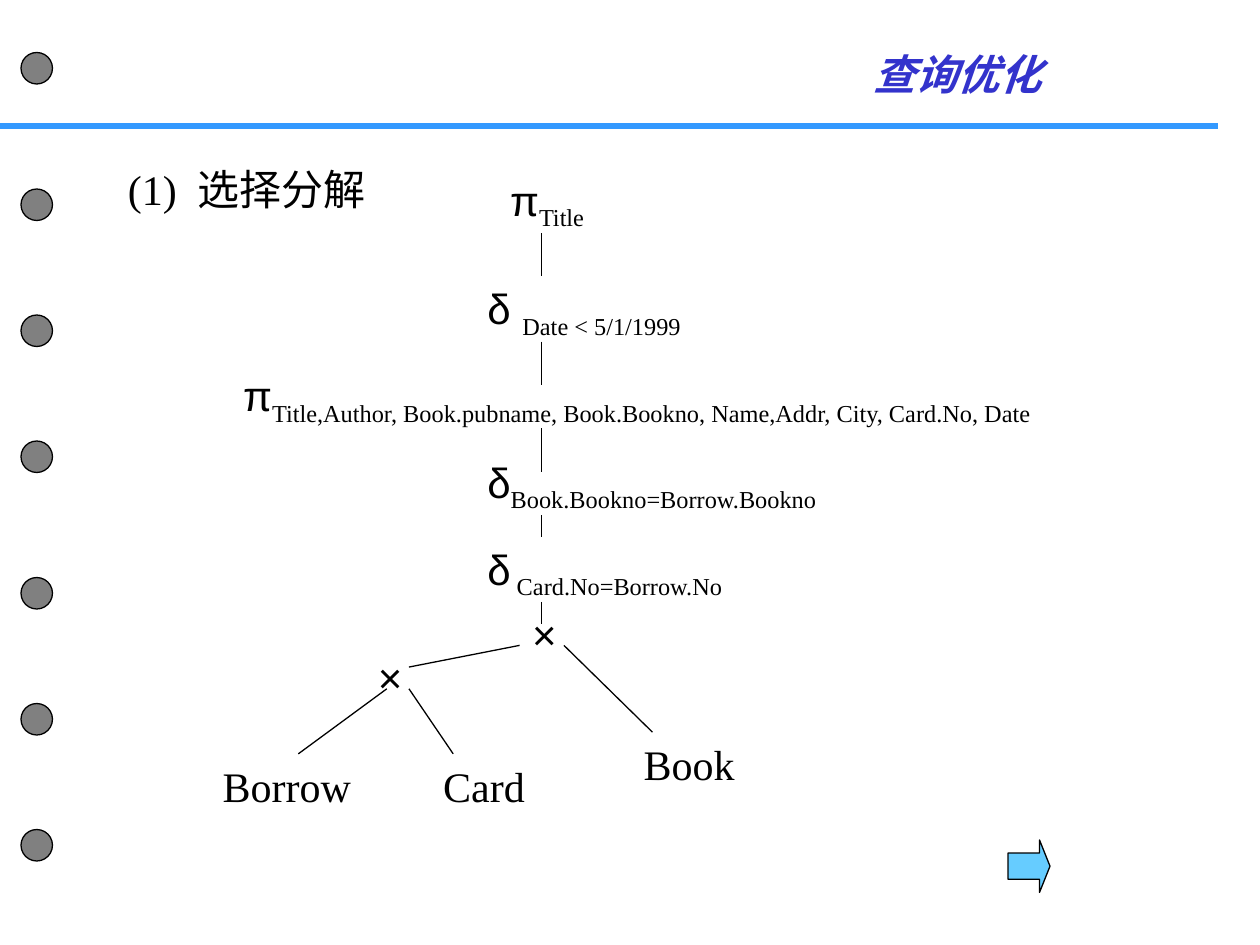
from lxml import etree
from pptx import Presentation
from pptx import util as u
from pptx.dml.color import RGBColor
from pptx.enum import shapes, text
from pptx.oxml import ns

COLOURS = {"ink": "000000", "paper": "FFFFFF", "title": "3333CC",
           "rule": "3399FF", "hole": "808080", "arrow": "66CCFF"}
SERIF, SANS = "Times New Roman", "Arial"
HOLE_TOPS = [30, 108, 180, 252, 330, 402, 474]
OPERATORS = [
    (284.4, 0, 88.6, "π", "Title"),
    (271.4, 5, 278, "δ ", "Date < 5/1/1999"),
    (131.8, 9, 552, "π", "Title,Author, Book.pubname, Book.Bookno, "
                         "Name,Addr, City, Card.No, Date"),
    (271.4, 13, 278, "δ", "Book.Bookno=Borrow.Bookno "),
    (271.4, 17, 278, "δ", " Card.No=Borrow.No"),
    (297, 20, 50.4, "×", ""),
    (208.8, 22, 50.4, "×", ""),
]
RELATIONS = [(120.2, 27, 108, "Borrow"), (246.2, 27, 78, "Card"),
             (360.7, 26, 101.5, "Book")]
EDGES = [
    (0, 3, 0, 5), (0, 8, 0, 10), (0, 12, 0, 14), (0, 16, 0, 17), (0, 20, 0, 21),
    (-1, 22, -6, 23), (1, 22, 5, 26), (-7, 24, -11, 27), (-6, 24, -4, 27),
]


def colour(name):
    """Return the named colour."""
    return RGBColor.from_string(COLOURS[name])


def column(step):
    """Return the x position of a tree grid column."""
    return 309.6 + 12.65 * step


def row(step):
    """Return the y position of a tree grid row."""
    return 96 + 12.4 * step


def add_line(page, x1, y1, x2, y2, name="ink", width=0.75):
    """Draw a straight line without a shadow."""
    line = page.shapes.add_connector(
        shapes.MSO_CONNECTOR.STRAIGHT, *map(u.Pt, (x1, y1, x2, y2)))
    line.line.color.rgb = colour(name)
    line.line.width = u.Pt(width)
    etree.SubElement(line._element.spPr, ns.qn("a:effectLst"))


def add_solid(page, kind, left, top, width, height, fill, outline=True):
    """Add a filled preset shape, outlined in ink if wanted."""
    shape = page.shapes.add_shape(kind, *map(u.Pt, (left, top, width, height)))
    shape.shadow.inherit = False
    shape.fill.solid()
    shape.fill.fore_color.rgb = colour(fill)
    if outline:
        shape.line.color.rgb = colour("ink")
        shape.line.width = u.Pt(0.75)
    else:
        shape.line.fill.background()
    return shape


def write(box, runs, name="ink", emphasis=False):
    """Fill a box with one paragraph of (words, font, baseline) runs."""
    frame = box.text_frame
    frame.word_wrap = True
    frame.vertical_anchor = text.MSO_ANCHOR.TOP
    para = frame.paragraphs[0]
    para.alignment = text.PP_ALIGN.LEFT
    for words, font, baseline in runs:
        span = para.add_run()
        span.text = words
        span.font.name = font
        span.font.size = u.Pt(24)
        span.font.bold = span.font.italic = emphasis
        span.font.color.rgb = colour(name)
        if baseline:
            span.font._element.set("baseline", str(baseline * 1000))


def add_node(page, left, step, width, runs):
    """Add a tree node on a white background."""
    box = add_solid(page, shapes.MSO_SHAPE.RECTANGLE, left, row(step), width,
                    37.2, "paper", outline=False)
    write(box, runs)


def add_heading(page, left, top, width, words, name="ink", emphasis=False):
    """Add a heading in a plain text box."""
    box = page.shapes.add_textbox(*map(u.Pt, (left, top, width, 36)))
    write(box, [(words, SERIF, 0)], name, emphasis)


def add_tree(page):
    """Draw the query tree, nodes first and edges on top."""
    for left, step, width, symbol, condition in OPERATORS:
        runs = [(symbol, SANS, 0)]
        if condition:
            runs.append((condition, SERIF, -25))
        add_node(page, left, step, width, runs)
    for left, step, width, relation in RELATIONS:
        add_node(page, left, step, width, [(relation, SERIF, 0)])
    for x1, y1, x2, y2 in EDGES:
        add_line(page, column(x1), row(y1), column(x2), row(y2))


def main():
    """Build the query optimisation slide."""
    deck = Presentation()
    deck.slide_width, deck.slide_height = u.Pt(720), u.Pt(540)
    page = deck.slides.add_slide(deck.slide_layouts[6])
    add_line(page, 0, 72, 696, 72, "rule", 3)
    for top in HOLE_TOPS:
        add_solid(page, shapes.MSO_SHAPE.OVAL, 12, top, 18, 18, "hole")
    add_heading(page, 492, 24, 228, "查询优化", "title", emphasis=True)
    add_tree(page)
    add_heading(page, 66, 90, 192, "(1)  选择分解")
    arrow = add_solid(page, shapes.MSO_SHAPE.RIGHT_ARROW, 576, 480, 24, 30, "arrow")
    arrow.adjustments[0], arrow.adjustments[1] = 0.5, 0.25
    deck.save("out.pptx")


if __name__ == "__main__":
    main()
